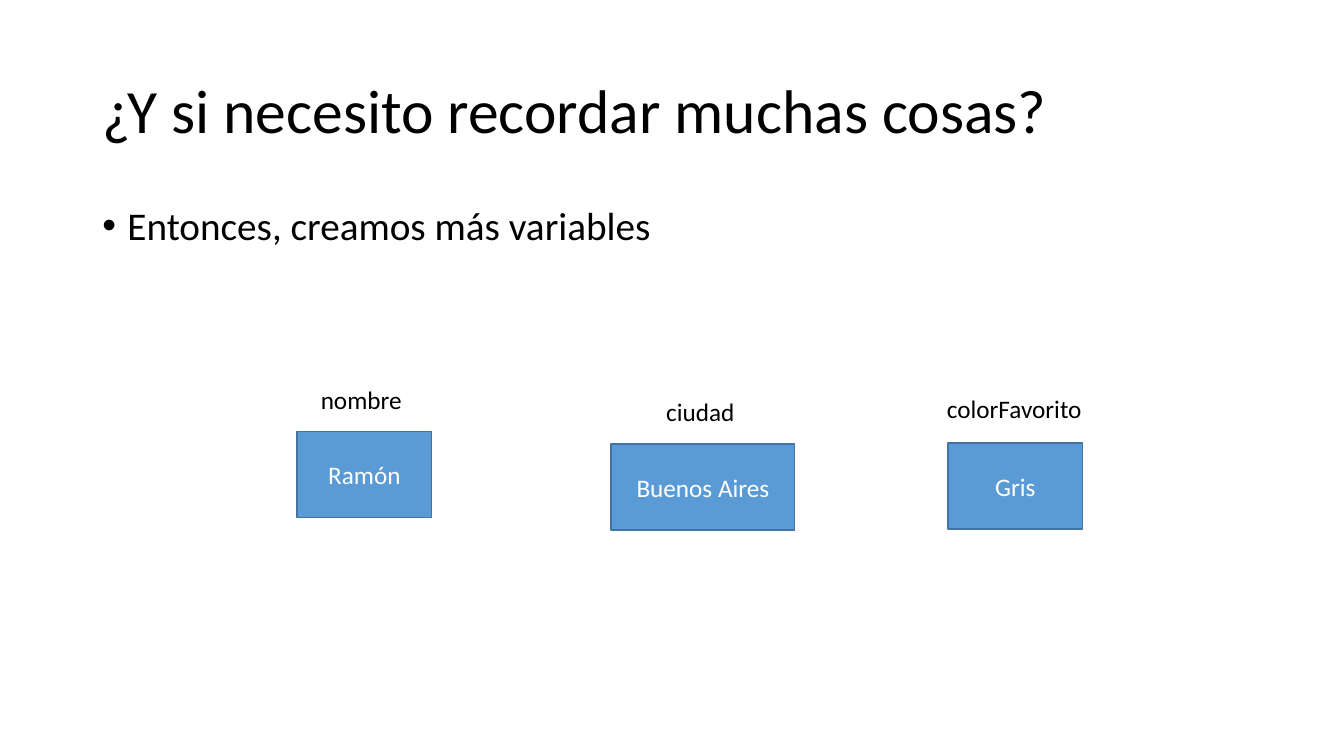
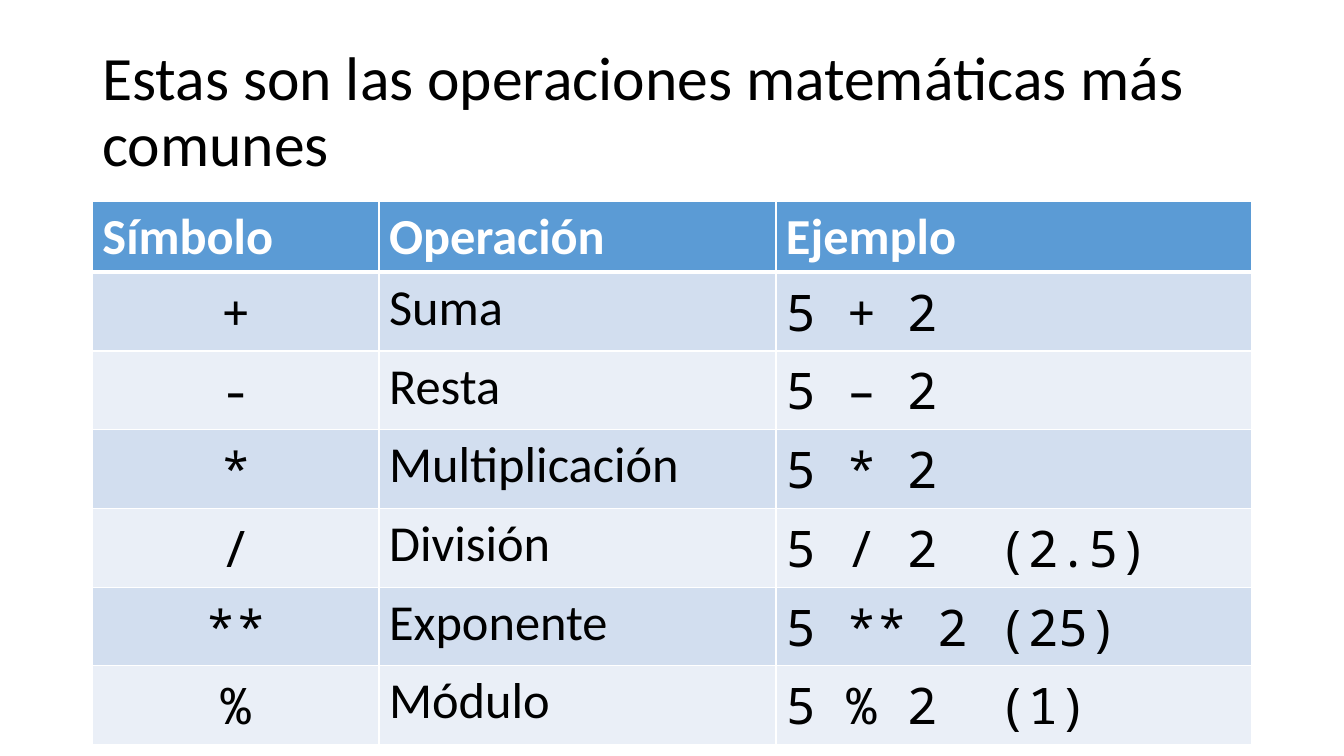
import lxml.etree
import pptx
import pptx.dml.color
import pptx.enum.shapes
import pptx.enum.text
import pptx.oxml.ns
import pptx.util

EMU_PER_PX = 9525
COLORS = {
    "text": "000000",
    "light": "FFFFFF",
    "accent": "5B9BD5",
    "outline": "43739E",
    "band_dark": "D2DEEF",
    "band_light": "EAEFF7",
}
FONT = "Calibri"
CODE_FONT = "Noto Sans Mono"
ANCHOR = pptx.enum.text.MSO_ANCHOR
ALIGN = pptx.enum.text.PP_ALIGN

VARIABLES = [
    ("nombre", (288, 361, 112), "Ramón", (283, 411, 128)),
    ("ciudad", (611, 373, 112), "Buenos Aires", (582, 423, 175)),
    ("colorFavorito", (888, 370, 156), "Gris", (903, 422, 128)),
]
OPERATIONS = [
    ("Símbolo", "Operación", "Ejemplo"),
    ("+", "Suma", "5 + 2"),
    ("-", "Resta", "5 – 2"),
    ("*", "Multiplicación", "5 * 2"),
    ("/", "División", "5 / 2  (2.5)"),
    ("**", "Exponente", "5 ** 2 (25)"),
    ("%", "Módulo", "5 % 2  (1)"),
]


def px(*lengths):
    return [pptx.util.Emu(length * EMU_PER_PX) for length in lengths]


def rgb(name):
    return pptx.dml.color.RGBColor.from_string(COLORS[name])


def add_child(parent, tag, **attributes):
    return lxml.etree.SubElement(parent, pptx.oxml.ns.qn(tag), attributes)


def write_text(frame, text, size=18, color="text", font=FONT, bold=False,
               align=ALIGN.LEFT, spacing=None):
    paragraph = frame.paragraphs[0]
    paragraph.alignment = align
    paragraph.line_spacing = spacing
    run = paragraph.add_run()
    run.text = text
    run.font.name = font
    run.font.size = pptx.util.Pt(size)
    run.font.bold = bold
    run.font.color.rgb = rgb(color)
    return paragraph


class Deck:
    """Holds the shared style and the slide being built."""

    def __init__(self):
        self.presentation = pptx.Presentation()
        self.presentation.slide_width, self.presentation.slide_height = px(1280, 720)
        self.slide = None

    def add_slide(self, title):
        self.slide = self.presentation.slides.add_slide(self.presentation.slide_layouts[6])
        self.text(title, 88, 38, 1104, 140, anchor=ANCHOR.MIDDLE, size=44, spacing=0.9)

    def text(self, text, left, top, width, height, anchor=ANCHOR.TOP, **style):
        frame = self.slide.shapes.add_textbox(*px(left, top, width, height)).text_frame
        frame.word_wrap = True
        frame.vertical_anchor = anchor
        return write_text(frame, text, **style)

    def bullet(self, text, left, top, width, height):
        paragraph = self.text(text, left, top, width, height, size=28, spacing=0.9)
        paragraph.space_before = pptx.util.Pt(10)
        indent = px(24)[0]
        properties = paragraph._p.get_or_add_pPr()
        properties.set("marL", str(indent))
        properties.set("indent", str(-indent))
        add_child(properties, "a:buFont", typeface="Arial")
        add_child(properties, "a:buChar", char="•")

    def box(self, text, left, top, width, height):
        shape = self.slide.shapes.add_shape(
            pptx.enum.shapes.MSO_SHAPE.RECTANGLE, *px(left, top, width, height))
        shape.shadow.inherit = False
        shape.fill.solid()
        shape.fill.fore_color.rgb = rgb("accent")
        shape.line.color.rgb = rgb("outline")
        shape.line.width = pptx.util.Pt(1)
        shape.text_frame.vertical_anchor = ANCHOR.MIDDLE
        write_text(shape.text_frame, text, color="light", align=ALIGN.CENTER)

    def borders(self, cell, top, bottom):
        properties = cell._tc.get_or_add_tcPr()
        for side, points in (("L", 1), ("R", 1), ("T", top), ("B", bottom)):
            line = add_child(properties, f"a:ln{side}", w=str(pptx.util.Pt(points)))
            add_child(add_child(line, "a:solidFill"), "a:srgbClr", val=COLORS["light"])

    def table(self, rows, left, top, column_widths, header_height, row_height):
        row_heights = [header_height] + [row_height] * (len(rows) - 1)
        table = self.slide.shapes.add_table(
            len(rows), len(column_widths),
            *px(left, top, sum(column_widths), sum(row_heights))).table
        table.horz_banding = False
        for column, width in zip(table.columns, px(*column_widths)):
            column.width = width
        for row, height in zip(table.rows, px(*row_heights)):
            row.height = height
        for row_index, values in enumerate(rows):
            header = row_index == 0
            band = "band_dark" if row_index % 2 else "band_light"
            for column_index, value in enumerate(values):
                cell = table.cell(row_index, column_index)
                self.borders(cell, 3 if row_index == 1 else 1, 3 if header else 1)
                cell.fill.solid()
                cell.fill.fore_color.rgb = rgb("accent" if header else band)
                symbol = column_index == 0 and not header
                code = column_index != 1 and not header
                write_text(cell.text_frame, value, size=36, bold=header,
                           color="light" if header else "text",
                           font=CODE_FONT if code else FONT,
                           align=ALIGN.CENTER if symbol else ALIGN.LEFT)


def main():
    deck = Deck()

    deck.add_slide("¿Y si necesito recordar muchas cosas?")
    deck.bullet("Entonces, creamos más variables", 88, 192, 1104, 457)
    for name, name_place, value, value_place in VARIABLES:
        deck.box(value, *value_place, 82)
        deck.text(name, *name_place, 38, align=ALIGN.CENTER)

    deck.add_slide("Estas son las operaciones matemáticas más comunes")
    deck.table(OPERATIONS, 88, 192, (273, 378, 453), 67, 75)

    deck.presentation.save("out.pptx")


if __name__ == "__main__":
    main()
